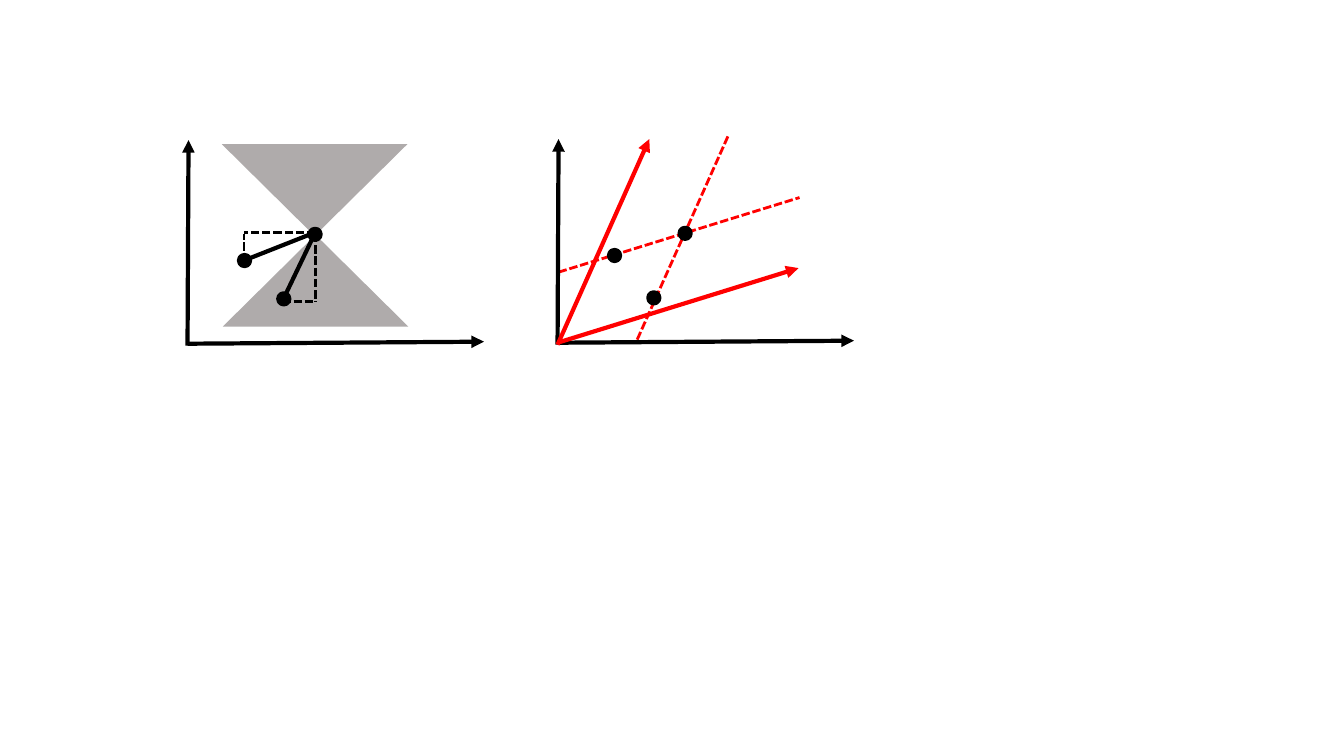
from pptx import Presentation
from pptx.dml.color import RGBColor
from pptx.enum.dml import MSO_LINE
from pptx.enum.shapes import MSO_CONNECTOR, MSO_SHAPE
from pptx.oxml.ns import qn
from pptx.util import Pt
from lxml import etree

BLACK = RGBColor(0x00, 0x00, 0x00)
RED = RGBColor(0xFF, 0x00, 0x00)
GRAY = RGBColor(0xAF, 0xAB, 0xAB)

STRAIGHT = MSO_CONNECTOR.STRAIGHT
OVAL = MSO_SHAPE.OVAL
TRIANGLE = MSO_SHAPE.ISOSCELES_TRIANGLE
SHORT_DASH = MSO_LINE.SQUARE_DOT

EMU_PER_PX = 9144  # 100 px to the inch
BLANK_LAYOUT = 6


def px(length):
    return length * EMU_PER_PX


class Diagram:
    solid_width = Pt(3)
    dash_width = Pt(2)
    dot_size = 11

    def __init__(self, presentation):
        self.slide = presentation.slides.add_slide(
            presentation.slide_layouts[BLANK_LAYOUT])
        self.shapes = self.slide.shapes

    def start_panel(self):
        """Put the elements that follow into a new group."""
        self.shapes = self.slide.shapes.add_group_shape().shapes

    def line(self, start, end, color=BLACK):
        connector = self.shapes.add_connector(
            STRAIGHT, *map(px, start), *map(px, end))
        connector.line.color.rgb = color
        connector.line.width = self.solid_width
        etree.SubElement(connector.element.spPr, qn("a:effectLst"))
        return connector

    def dashed_line(self, start, end, color=BLACK):
        connector = self.line(start, end, color)
        connector.line.width = self.dash_width
        connector.line.dash_style = SHORT_DASH

    def arrow(self, start, end, color=BLACK):
        connector = self.line(start, end, color)
        etree.SubElement(connector.get_or_add_ln(), qn("a:tailEnd"), type="triangle")

    def axes(self, left, bottom):
        self.arrow((left, bottom), (left + 1, bottom - 204))
        self.arrow((left, bottom - 2), (left + 294, bottom - 4))

    def filled_shape(self, preset, left, top, width, height, color):
        shape = self.shapes.add_shape(
            preset, px(left), px(top), px(width), px(height))
        shape.shadow.inherit = False
        shape.fill.solid()
        shape.fill.fore_color.rgb = color
        shape.line.fill.background()
        return shape

    def cone(self, left, top, rotation=0):
        triangle = self.filled_shape(TRIANGLE, left, top, 184, 91, GRAY)
        triangle.rotation = rotation

    def dot(self, left, top):
        point = self.filled_shape(
            OVAL, left, top, self.dot_size, self.dot_size, BLACK)
        point.line.color.rgb = BLACK
        point.line.width = self.solid_width


def draw_direction_panel(diagram):
    diagram.dashed_line((554, 270), (793, 196), RED)
    diagram.dashed_line((632, 337), (723, 133), RED)
    diagram.start_panel()
    diagram.axes(553, 342)
    diagram.arrow((553, 342), (644, 138), RED)
    diagram.arrow((553, 340), (792, 266), RED)
    for left, top in ((674, 226), (643, 290), (604, 248)):
        diagram.dot(left, top)


def draw_cone_panel(diagram):
    diagram.start_panel()
    diagram.axes(186, 343)
    diagram.cone(221, 233)
    diagram.cone(220, 143, rotation=180)
    diagram.line((279, 301), (314, 228))
    diagram.line((238, 260), (314, 230))
    for start, end in (
        ((280, 299), (313, 299)),
        ((313, 232), (313, 300)),
        ((313, 231), (242, 231)),
        ((242, 260), (242, 232)),
    ):
        diagram.dashed_line(start, end)
    for left, top in ((307, 227), (276, 291), (237, 253)):
        diagram.dot(left, top)


def main():
    presentation = Presentation()
    presentation.slide_width = px(1333)
    presentation.slide_height = px(750)
    diagram = Diagram(presentation)
    draw_direction_panel(diagram)
    draw_cone_panel(diagram)
    presentation.save("out.pptx")


if __name__ == "__main__":
    main()
